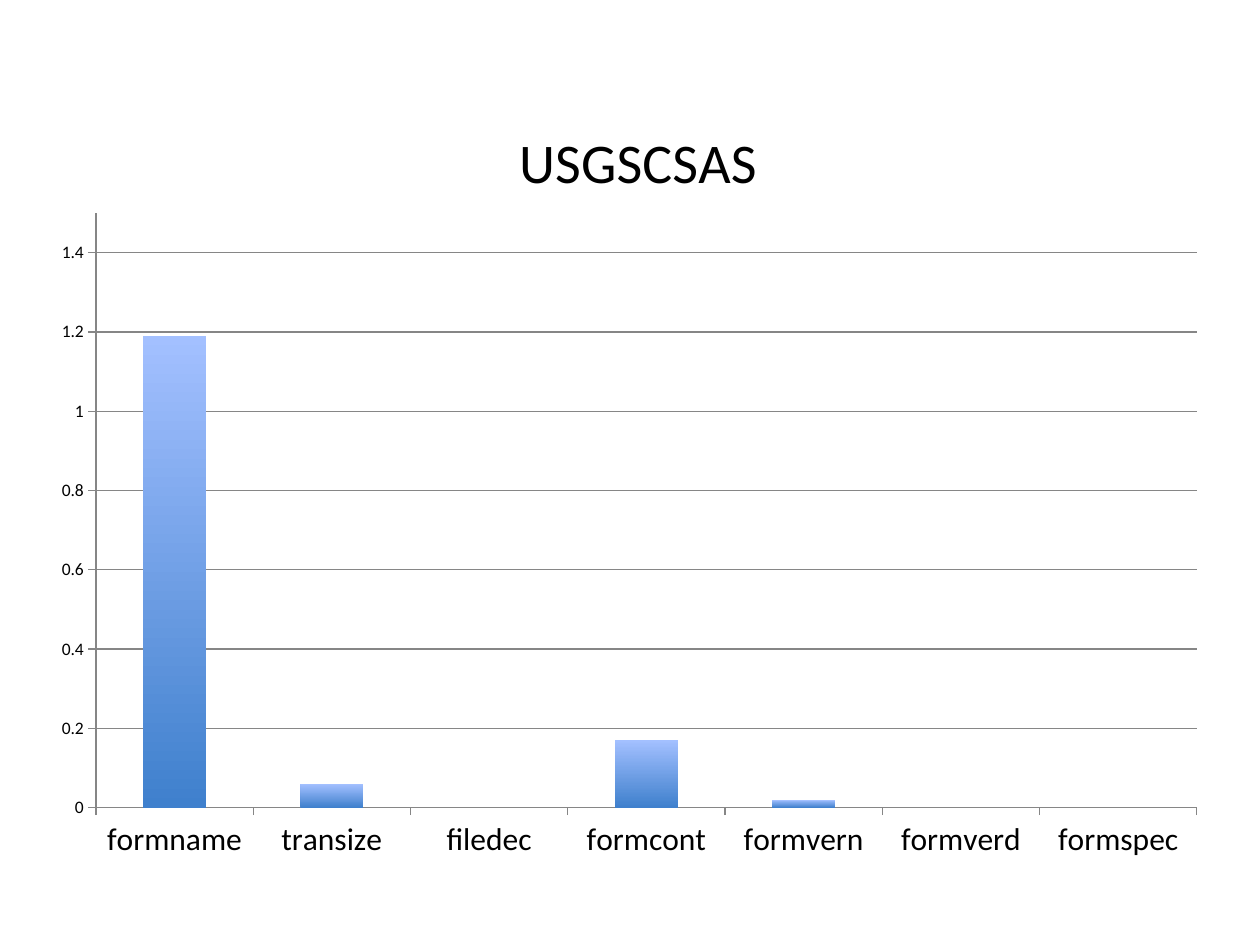
from lxml.etree import SubElement
from pptx import Presentation
from pptx.chart.data import CategoryChartData
from pptx.dml.color import RGBColor
from pptx.enum.chart import XL_CHART_TYPE, XL_TICK_MARK
from pptx.oxml.ns import qn
from pptx.util import Emu, Pt

SCALE = 914400 // 126
FONT = "Calibri"
HUES = {"text": "000000", "line": "868686", "low": "3F80CD", "high": "A3C0FF"}
TITLE = "USGSCSAS"
SCORES = {"formname": 1.19, "transize": 0.06, "filedec": 0, "formcont": 0.17,
          "formvern": 0.02, "formverd": 0, "formspec": 0}


def px(size):
    """Turn pixels into EMU."""
    return Emu(size * SCALE)


def hue(name):
    """Look up a colour by name."""
    return RGBColor.from_string(HUES[name])


def style(font, size):
    """Set face, size and colour of a font."""
    font.name, font.size, font.bold = FONT, Pt(size), False
    font.color.rgb = hue("text")


def place(node, index, **spots):
    """Give a chart part a fixed layout, in fractions of the chart."""
    for old in node.findall(qn("c:layout")):
        node.remove(old)
    layout = SubElement(node, qn("c:layout"))
    node.insert(index, layout)
    manual = SubElement(layout, qn("c:manualLayout"))
    if "w" in spots:
        SubElement(manual, qn("c:layoutTarget")).set("val", "inner")
    for key in "xy":
        SubElement(manual, qn(f"c:{key}Mode")).set("val", "edge")
    for key, value in spots.items():
        SubElement(manual, qn(f"c:{key}")).set("val", f"{value:.4f}")


def set_axis(axis, size):
    """Style the labels, ticks and line of an axis."""
    style(axis.tick_labels.font, size)
    axis.major_tick_mark = XL_TICK_MARK.OUTSIDE
    axis.minor_tick_mark = XL_TICK_MARK.NONE
    axis.format.line.color.rgb = hue("line")
    axis.format.line.width = Pt(0.75)


def add_bars(slide, left, top, width, height):
    """Draw the titled column chart within the given box."""
    data = CategoryChartData()
    data.categories = list(SCORES)
    data.add_series(TITLE, list(SCORES.values()))
    chart = slide.shapes.add_chart(
        XL_CHART_TYPE.COLUMN_CLUSTERED,
        px(left), px(top), px(width), px(height), data).chart
    style(chart.font, 10)
    chart.has_legend = False

    chart.has_title = True
    title = chart.chart_title
    run = title.text_frame.paragraphs[0].add_run()
    run.text = TITLE
    style(run.font, 32)
    title.include_in_layout = False
    place(title._element, 1, x=470 / width, y=42 / height)

    set_axis(chart.category_axis, 18)
    scale = chart.value_axis
    set_axis(scale, 10)
    scale.minimum_scale, scale.maximum_scale = 0, 1.5
    scale.major_unit = 0.2
    scale.tick_labels.number_format = "General"
    scale.tick_labels.number_format_is_linked = False
    scale.has_major_gridlines = True
    grid = scale.major_gridlines.format.line
    grid.color.rgb, grid.width = hue("line"), Pt(0.75)

    plot = chart.plots[0]
    plot.gap_width, plot.vary_by_categories = 150, False
    fill = plot.series[0].format.fill
    fill.gradient()
    fill.gradient_angle = 90
    for stop, name in zip(fill.gradient_stops, ("low", "high")):
        stop.color.rgb = hue(name)
    area = chart._chartSpace.find(f".//{qn('c:plotArea')}")
    place(area, 0, x=57 / width, y=142 / height,
          w=1101 / width, h=595 / height)


def main():
    """Build and save the slide."""
    deck = Presentation()
    deck.slide_width, deck.slide_height = px(1260), px(945)
    slide = deck.slides.add_slide(deck.slide_layouts[6])
    add_bars(slide, 39, 71, 1182, 804)
    deck.save("out.pptx")


main()
